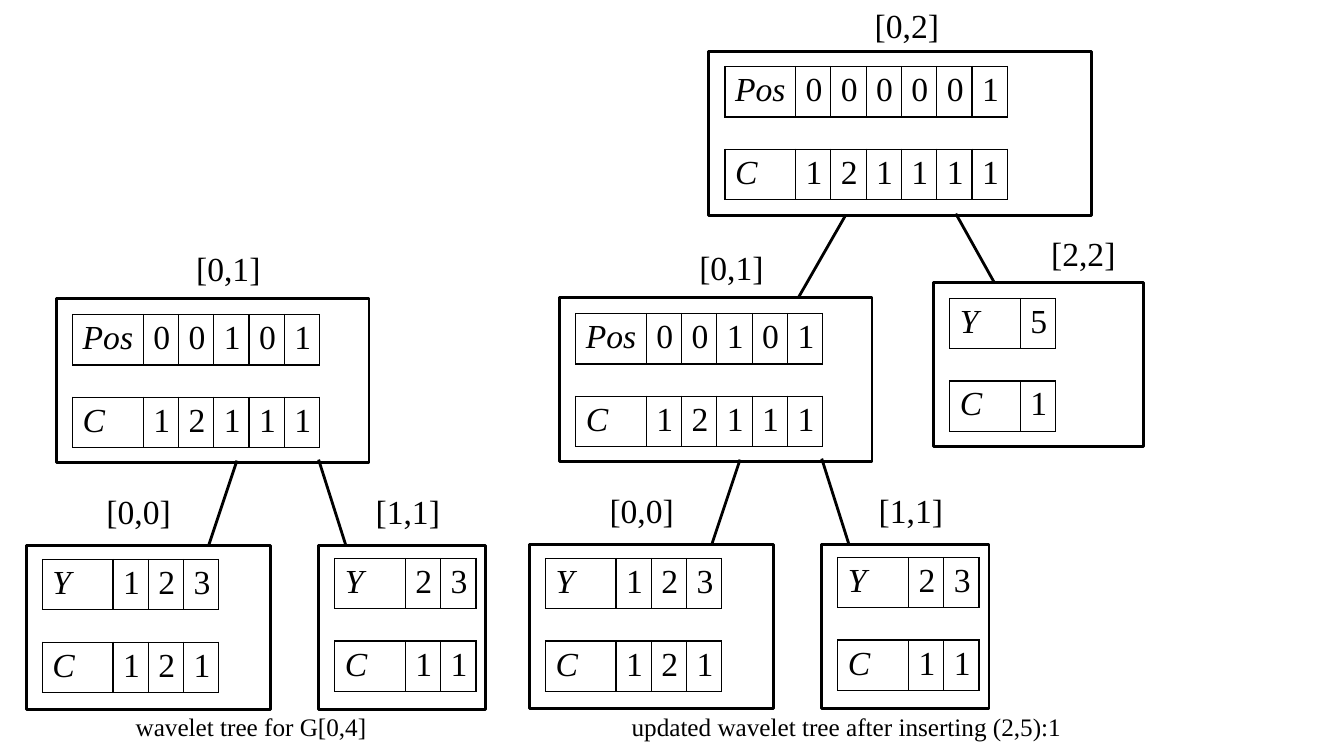
from dataclasses import dataclass

from lxml.etree import SubElement
from pptx import Presentation
from pptx.dml.color import RGBColor
from pptx.enum.shapes import MSO_CONNECTOR, MSO_SHAPE
from pptx.enum.text import MSO_AUTO_SIZE, PP_ALIGN
from pptx.oxml import parse_xml
from pptx.oxml.ns import qn
from pptx.util import Pt


@dataclass(frozen=True)
class Theme:
    font: str = "Times New Roman"
    ink: RGBColor = RGBColor(0, 0, 0)
    paper: RGBColor = RGBColor(255, 255, 255)
    label_size: int = 24
    caption_size: int = 18
    box_line: int = 2
    cell_line: int = 1


THEME = Theme()
PX = 9144  # 100 px to the inch
SLIDE_SIZE = (1333, 750)
BOX_HEIGHT = 163
ROW_INSET, ROW_PITCH, ROW_HEIGHT = 16, 82, 50
NAME_WIDTH, DIGIT_WIDTH = 70, 35
LABEL_SIZE = (177, 50)
UPDATED_OFFSET = (499, -1)

# interval, box (left, top, width), label (left, top), first row top, rows
BASE_NODES = [
    ("[0,1]", (56, 296, 310), (138, 241), 312, [("Pos", "00101"), ("C", "12111")]),
    ("[0,0]", (26, 541, 242), (49, 482), 555, [("Y", "123"), ("C", "121")]),
    ("[1,1]", (316, 541, 166), (316, 482), 554, [("Y", "23"), ("C", "11")]),
]
BASE_EDGES = [((235, 457), (207, 541)), ((316, 456), (343, 541))]

INSERTED_NODES = [
    ("[0,2]", (703, 51, 380), (811, 0), 66, [("Pos", "000001"), ("C", "121111")]),
    ("[2,2]", (926, 280, 208), (986, 226), 296, [("Y", "5"), ("C", "1")]),
]
INSERTED_EDGES = [((839, 213), (792, 295)), ((948, 212), (986, 280))]

CAPTIONS = [
    ("wavelet tree for G[0,4]", (88, 701, 322, 40)),
    ("updated wavelet tree after inserting (2,5):1", (534, 701, 611, 40)),
]


def emu(*lengths):
    return [length * PX for length in lengths]


def style_paragraph(paragraph, size, italic=False):
    font = paragraph.font
    font.name, font.size = THEME.font, Pt(size)
    font.bold, font.italic = False, italic
    font.color.rgb = THEME.ink


def add_text(slide, text, place, size):
    frame = slide.shapes.add_textbox(*emu(*place)).text_frame
    frame.word_wrap = True
    frame.auto_size = MSO_AUTO_SIZE.SHAPE_TO_FIT_TEXT
    paragraph = frame.paragraphs[0]
    paragraph.text = text
    paragraph.alignment = PP_ALIGN.CENTER
    style_paragraph(paragraph, size)


def add_borders(cell):
    properties = cell._tc.get_or_add_tcPr()
    for position, side in enumerate(("lnL", "lnR", "lnT", "lnB")):
        border = parse_xml(
            f'<a:{side} xmlns:a="http://schemas.openxmlformats.org/drawingml/2006/main" '
            f'w="{Pt(THEME.cell_line)}"><a:solidFill><a:srgbClr val="{THEME.ink}"/>'
            f"</a:solidFill></a:{side}>"
        )
        properties.insert(position, border)


def add_row(slide, name, digits, left, top):
    """Add one named array as a single-row table."""
    values = [name, *digits]
    width = NAME_WIDTH + DIGIT_WIDTH * len(digits)
    place = emu(left, top, width, ROW_HEIGHT)
    table = slide.shapes.add_table(1, len(values), *place).table
    table.first_row = table.horz_banding = False
    for index, value in enumerate(values):
        is_name = index == 0
        table.columns[index].width = (NAME_WIDTH if is_name else DIGIT_WIDTH) * PX
        cell = table.cell(0, index)
        cell.text = value
        cell.fill.solid()
        cell.fill.fore_color.rgb = THEME.paper
        style_paragraph(cell.text_frame.paragraphs[0], THEME.label_size, is_name)
        add_borders(cell)


def style_line(line):
    line.color.rgb = THEME.ink
    line.width = Pt(THEME.box_line)


def add_node(slide, node, dx, dy):
    interval, (left, top, width), (label_left, label_top), row_top, rows = node
    place = emu(left + dx, top + dy, width, BOX_HEIGHT)
    box = slide.shapes.add_shape(MSO_SHAPE.RECTANGLE, *place)
    box.shadow.inherit = False
    box.fill.background()
    style_line(box.line)
    label_place = (label_left + dx, label_top + dy, *LABEL_SIZE)
    add_text(slide, interval, label_place, THEME.label_size)
    for index, (name, digits) in enumerate(rows):
        y = row_top + dy + index * ROW_PITCH
        add_row(slide, name, digits, left + dx + ROW_INSET, y)


def add_edge(slide, edge, dx, dy):
    (x1, y1), (x2, y2) = edge
    ends = emu(x1 + dx, y1 + dy, x2 + dx, y2 + dy)
    connector = slide.shapes.add_connector(MSO_CONNECTOR.STRAIGHT, *ends)
    style_line(connector.line)
    SubElement(connector._element.spPr, qn("a:effectLst"))


def add_tree(slide, nodes, edges, offset=(0, 0)):
    for node in nodes:
        add_node(slide, node, *offset)
    for edge in edges:
        add_edge(slide, edge, *offset)


def main():
    presentation = Presentation()
    presentation.slide_width, presentation.slide_height = emu(*SLIDE_SIZE)
    slide = presentation.slides.add_slide(presentation.slide_layouts[6])
    add_tree(slide, BASE_NODES, BASE_EDGES)
    add_tree(slide, INSERTED_NODES, INSERTED_EDGES)
    add_tree(slide, BASE_NODES, BASE_EDGES, UPDATED_OFFSET)
    for text, place in CAPTIONS:
        add_text(slide, text, place, THEME.caption_size)
    presentation.save("out.pptx")


if __name__ == "__main__":
    main()
